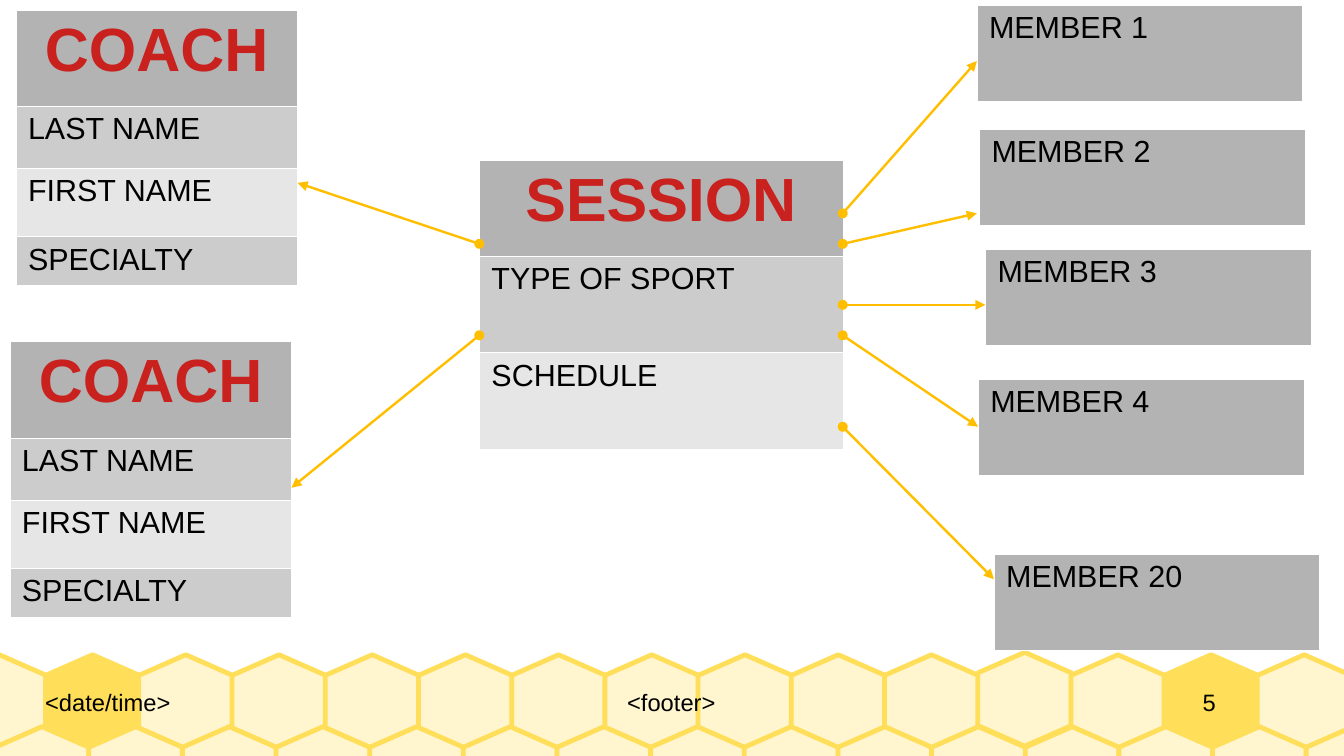
from dataclasses import dataclass

from lxml.etree import SubElement
from pptx import Presentation
from pptx.dml.color import RGBColor as RGB
from pptx.enum.shapes import MSO_CONNECTOR as Conn
from pptx.enum.text import MSO_ANCHOR as Anchor, PP_ALIGN as Align
from pptx.oxml.ns import qn
from pptx.util import Inches, Pt

COLORS = {
    "header": "B3B3B3", "dark": "CCCCCC", "light": "E6E6E6", "border": "FFFFFF",
    "heading": "C9211E", "text": "000000", "arrow": "FFBF00",
    "honey": "FFDE59", "wax": "FFF5CE",
}
HEADING = {"name": "Arial", "size": Pt(36), "bold": True}
BODY = {"name": "Arial", "size": Pt(18), "bold": False}
FOOTER = {"name": "Arial", "size": Pt(14), "bold": False}

# Grid of quarter-inch squares: columns across, rows down
UNIT = 0.25
HEAD_ROW = 3.16
COACH_ROWS = (HEAD_ROW, 2.04, 2.24, 1.52)
COACH_LINES = ("LAST NAME", "FIRST NAME", "SPECIALTY")
COACH_WIDTH, MEMBER_WIDTH = 9.24, 10.68
SESSION_LEFT, SESSION_WIDTH = 15.72, 11.92
SESSION_RIGHT = SESSION_LEFT + SESSION_WIDTH
HEX_SIZE, HEX_COUNT, BAND_TOP = 3.08, 15, 21.48


@dataclass
class Entity:
    col: float
    row: float
    width: float
    heights: tuple
    lines: tuple
    heading: str = ""


@dataclass
class Arrow:
    start: tuple
    end: tuple


@dataclass
class HexRow:
    first: float
    last: float
    top: float
    filled: tuple = ()
    raised: tuple = ()


@dataclass
class Note:
    col: float
    width: float
    text: str
    align: Align


def member(col: float, row: float, number: int) -> Entity:
    return Entity(col, row, MEMBER_WIDTH, (HEAD_ROW,), (f"MEMBER {number}",))


ENTITIES = [
    Entity(0.52, 0.32, COACH_WIDTH, COACH_ROWS, COACH_LINES, "COACH"),
    Entity(0.32, 11.2, COACH_WIDTH, COACH_ROWS, COACH_LINES, "COACH"),
    Entity(SESSION_LEFT, 5.24, SESSION_WIDTH, (HEAD_ROW,) * 3,
           ("TYPE OF SPORT", "SCHEDULE"), "SESSION"),
    member(32.04, 0.16, 1),
    member(32.12, 4.24, 2),
    member(32.32, 8.16, 3),
    member(32.08, 12.44, 4),
    member(32.6, 18.16, 20),
]
ARROWS = [
    Arrow((SESSION_LEFT, 8), (9.76, 6)),
    Arrow((SESSION_LEFT, 11), (9.56, 16)),
    Arrow((SESSION_RIGHT, 7), (32.04, 2)),
    Arrow((SESSION_RIGHT, 8), (32.04, 7)),
    Arrow((SESSION_RIGHT, 10), (32.32, 10)),
    Arrow((SESSION_RIGHT, 11), (32.08, 14)),
    Arrow((SESSION_RIGHT, 14), (32.6, 19)),
]
HEX_ROWS = [
    HexRow(-1.56, 41.24, BAND_TOP, filled=(1, 13), raised=(11,)),
    HexRow(-0.16, 42.84, 23.84),
]
NOTES = [
    Note(1.48, 10.52, "<date/time>", Align.LEFT),
    Note(12, 20.04, "<footer>", Align.CENTER),
    Note(37.16, 5, "5", Align.CENTER),
]


def grid(*values: float) -> list:
    return [Inches(v * UNIT) for v in values]


def color(name: str) -> RGB:
    return RGB.from_string(COLORS[name])


def write(tf, text: str, style: dict, ink: str, align: Align) -> None:
    p = tf.paragraphs[0]
    p.alignment = align
    r = p.add_run()
    r.text = text
    for key, value in style.items():
        setattr(r.font, key, value)
    r.font.color.rgb = color(ink)


def add_borders(cell) -> None:
    tc_pr = cell._tc.get_or_add_tcPr()
    for side in ("lnL", "lnR", "lnT", "lnB"):
        ln = SubElement(tc_pr, qn(f"a:{side}"), w=str(Pt(0.06)))
        fill = SubElement(ln, qn("a:solidFill"))
        SubElement(fill, qn("a:srgbClr"), val=COLORS["border"])


def draw_entity(shapes, e: Entity) -> None:
    lines = ((e.heading,) if e.heading else ()) + e.lines
    box = grid(e.col, e.row, e.width, sum(e.heights))
    table = shapes.add_table(len(lines), 1, *box).table
    table.first_row = table.horz_banding = False
    for i, (text, height) in enumerate(zip(lines, grid(*e.heights))):
        table.rows[i].height = height
        cell = table.cell(i, 0)
        add_borders(cell)
        cell.fill.solid()
        shade = "header" if i == 0 else ("light", "dark")[i % 2]
        cell.fill.fore_color.rgb = color(shade)
        if text == e.heading:
            write(cell.text_frame, text, HEADING, "heading", Align.CENTER)
        else:
            write(cell.text_frame, text, BODY, "text", Align.LEFT)


def draw_arrow(shapes, a: Arrow) -> None:
    sp = shapes.add_connector(Conn.STRAIGHT, *grid(*a.start, *a.end))
    sp.line.color.rgb = color("arrow")
    sp.line.width = Pt(1.42)
    ln = sp.line._get_or_add_ln()
    SubElement(ln, qn("a:headEnd"), type="oval")
    SubElement(ln, qn("a:tailEnd"), type="triangle")
    SubElement(sp._element.spPr, qn("a:effectLst"))


def draw_hexagon(shapes, col: float, row: float, fill: str) -> None:
    corners = [(0.5, 0), (0, 0.22), (0, 0.78), (0.5, 1), (1, 0.78), (1, 0.22)]
    points = [grid(col + x * HEX_SIZE, row + y * HEX_SIZE) for x, y in corners]
    builder = shapes.build_freeform(*points[0])
    builder.add_line_segments(points[1:], close=True)
    sp = builder.convert_to_shape()
    sp.shadow.inherit = False
    sp.fill.solid()
    sp.fill.fore_color.rgb = color(fill)
    sp.line.color.rgb = color("honey")
    sp.line.width = Pt(2.83)


def draw_hex_row(shapes, h: HexRow) -> None:
    pitch = (h.last - h.first) / (HEX_COUNT - 1)
    for i in range(HEX_COUNT):
        top = h.top - (0.08 if i in h.raised else 0)
        fill = "honey" if i in h.filled else "wax"
        draw_hexagon(shapes, h.first + i * pitch, top, fill)


def draw_note(shapes, n: Note) -> None:
    tf = shapes.add_textbox(*grid(n.col, BAND_TOP, n.width, HEX_SIZE)).text_frame
    frame = {"word_wrap": True, "vertical_anchor": Anchor.MIDDLE, "margin_left": 0,
             "margin_right": 0, "margin_top": 0, "margin_bottom": 0}
    for key, value in frame.items():
        setattr(tf, key, value)
    write(tf, n.text, FOOTER, "text", n.align)


def main() -> None:
    prs = Presentation()
    prs.slide_width, prs.slide_height = Inches(11.02), Inches(6.2)
    shapes = prs.slides.add_slide(prs.slide_layouts[6]).shapes
    # Honeycomb band and footer, then tables, then arrows on top
    for draw, items in ((draw_hex_row, HEX_ROWS), (draw_note, NOTES),
                        (draw_entity, ENTITIES), (draw_arrow, ARROWS)):
        for item in items:
            draw(shapes, item)
    prs.save("out.pptx")


if __name__ == "__main__":
    main()
